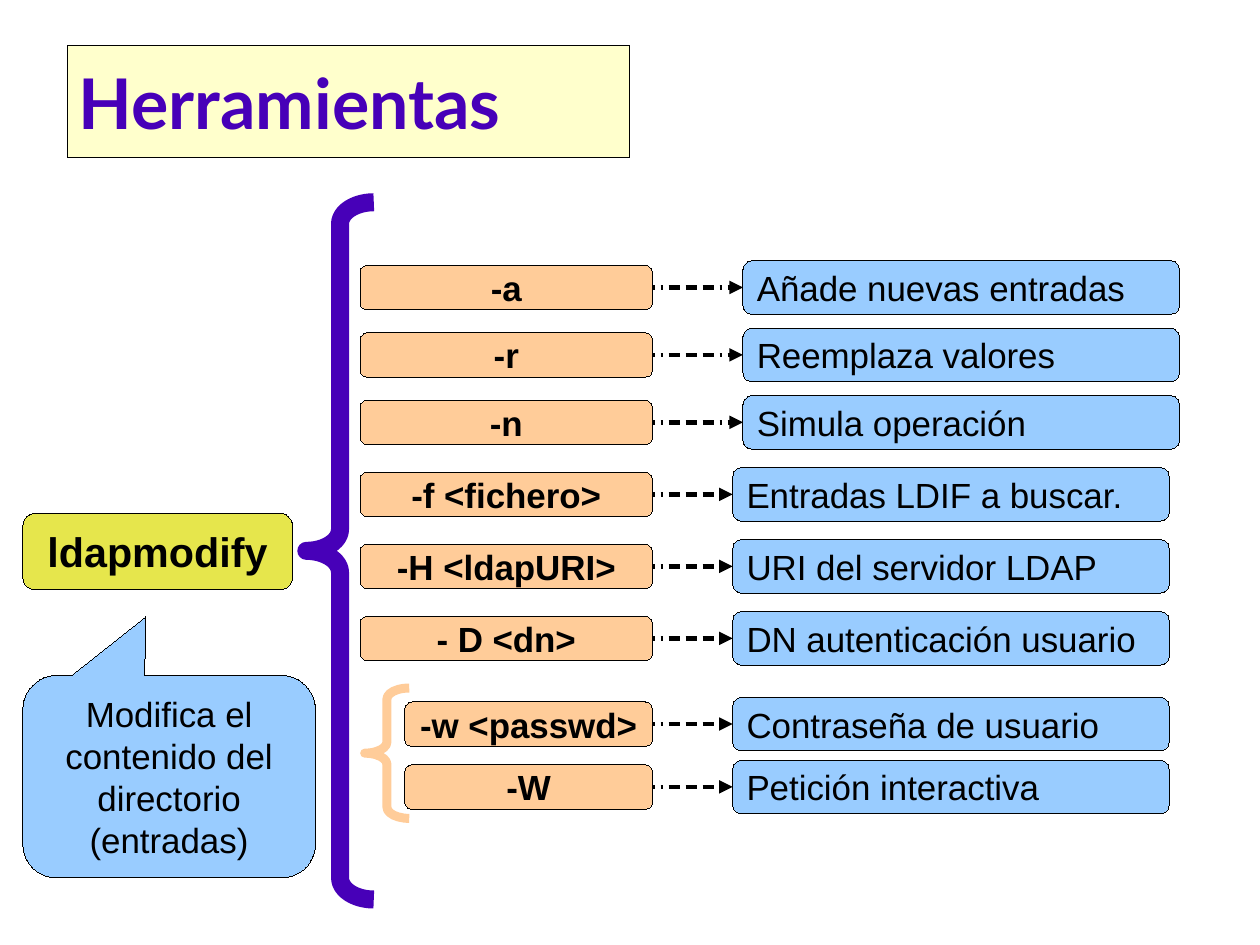
from dataclasses import dataclass

from lxml.etree import SubElement
from pptx import Presentation
from pptx.dml.color import RGBColor
from pptx.enum.shapes import MSO_CONNECTOR, MSO_SHAPE
from pptx.enum.text import MSO_ANCHOR, PP_ALIGN
from pptx.oxml.ns import qn
from pptx.shapes.autoshape import Shape
from pptx.slide import Slide
from pptx.util import Inches, Pt


@dataclass(frozen=True)
class Theme:
    ink: str = "000000"
    purple: str = "4700B8"
    cream: str = "FFFFCC"
    yellow: str = "E6E64C"
    orange: str = "FFCC99"
    blue: str = "99CCFF"
    title_font: str = "Lato"
    body_font: str = "Arial"
    title_size: float = 44
    command_size: float = 26
    body_size: float = 22
    arrow_width: float = 2.83


@dataclass(frozen=True)
class Box:
    left: float
    top: float
    width: float
    height: float


@dataclass(frozen=True)
class Brace:
    box: Box
    color: str
    width: float
    curve: float


@dataclass(frozen=True)
class OptionGroup:
    top: float
    pitch: float
    option_left: float
    meaning_left: float
    entries: tuple[tuple[str, str], ...]


THEME = Theme()
CM_PER_INCH = 2.54
SLIDE_WIDTH, SLIDE_HEIGHT = 28 / CM_PER_INCH, 21 / CM_PER_INCH
OPTION_RIGHT, OPTION_HEIGHT = 5.71, 0.39
MEANING_WIDTH, MEANING_HEIGHT = 3.82, 0.47
DASH_PATTERN = ((50000, 128000),) * 2 + ((250000, 128000),) * 3

BRACES = (
    Brace(Box(2.68, 1.77, 0.59, 6.1), THEME.purple, 11.34, 0.32),
    Brace(Box(3.19, 6.02, 0.39, 1.14), THEME.orange, 5.67, 0.25),
)

GROUPS = (
    OptionGroup(2.32, 0.59, 3.15, 6.5, (
        ("-a", "Añade nuevas entradas"),
        ("-r", "Reemplaza valores"),
        ("-n", "Simula operación"),
    )),
    OptionGroup(4.13, 0.63, 3.15, 6.41, (
        ("-f <fichero>", "Entradas LDIF a buscar."),
        ("-H <ldapURI>", "URI del servidor LDAP"),
        ("- D <dn>", "DN autenticación usuario"),
    )),
    OptionGroup(6.14, 0.55, 3.54, 6.41, (
        ("-w <passwd>", "Contraseña de usuario"),
        ("-W", "Petición interactiva"),
    )),
)


def add_preset(slide: Slide, preset: MSO_SHAPE, box: Box) -> Shape:
    shape = slide.shapes.add_shape(preset, Inches(box.left), Inches(box.top),
                                   Inches(box.width), Inches(box.height))
    shape.shadow.inherit = False
    return shape


def write_text(shape: Shape, text: str, *, size: float = THEME.body_size,
               font: str = THEME.body_font, color: str = THEME.ink,
               bold: bool = False, align: PP_ALIGN = PP_ALIGN.LEFT) -> None:
    frame = shape.text_frame
    frame.word_wrap = True
    frame.vertical_anchor = MSO_ANCHOR.MIDDLE
    paragraph = frame.paragraphs[0]
    paragraph.alignment = align
    run = paragraph.add_run()
    run.text = text
    run.font.name = font
    run.font.size = Pt(size)
    run.font.bold = bold
    run.font.color.rgb = RGBColor.from_string(color)


def add_label(slide: Slide, box: Box, text: str, fill: str,
              preset: MSO_SHAPE = MSO_SHAPE.ROUNDED_RECTANGLE, **text_format) -> Shape:
    label = add_preset(slide, preset, box)
    label.fill.solid()
    label.fill.fore_color.rgb = RGBColor.from_string(fill)
    label.line.color.rgb = RGBColor.from_string(THEME.ink)
    label.line._get_or_add_ln().set("w", "0")
    write_text(label, text, **text_format)
    return label


def add_brace(slide: Slide, brace: Brace) -> None:
    outline = add_preset(slide, MSO_SHAPE.LEFT_BRACE, brace.box)
    outline.adjustments[0] = brace.curve
    outline.fill.background()
    outline.line.color.rgb = RGBColor.from_string(brace.color)
    outline.line.width = Pt(brace.width)
    SubElement(outline.line._get_or_add_ln(), qn("a:round"))


def add_arrow(slide: Slide, option: Shape, meaning: Shape) -> None:
    arrow = slide.shapes.add_connector(MSO_CONNECTOR.STRAIGHT, 0, 0, 0, 0)
    arrow.begin_connect(option, 3)
    arrow.end_connect(meaning, 1)
    arrow.line.color.rgb = RGBColor.from_string(THEME.ink)
    arrow.line.width = Pt(THEME.arrow_width)
    stroke = arrow.line._get_or_add_ln()
    pattern = SubElement(stroke, qn("a:custDash"))
    for dash, gap in DASH_PATTERN:
        SubElement(pattern, qn("a:ds"), d=str(dash), sp=str(gap))
    SubElement(stroke, qn("a:tailEnd"), type="triangle")
    SubElement(arrow._element.spPr, qn("a:effectLst"))


def add_option_group(slide: Slide, group: OptionGroup) -> None:
    for row, (flag, description) in enumerate(group.entries):
        top = group.top + row * group.pitch
        option_box = Box(group.option_left, top, OPTION_RIGHT - group.option_left, OPTION_HEIGHT)
        meaning_top = top - (MEANING_HEIGHT - OPTION_HEIGHT) / 2
        meaning_box = Box(group.meaning_left, meaning_top, MEANING_WIDTH, MEANING_HEIGHT)
        option = add_label(slide, option_box, flag, THEME.orange,
                           bold=True, align=PP_ALIGN.CENTER)
        meaning = add_label(slide, meaning_box, description, THEME.blue)
        add_arrow(slide, option, meaning)


def main() -> None:
    presentation = Presentation()
    presentation.slide_width = Inches(SLIDE_WIDTH)
    presentation.slide_height = Inches(SLIDE_HEIGHT)
    slide = presentation.slides.add_slide(presentation.slide_layouts[6])

    add_label(slide, Box(0.59, 0.4, 4.92, 0.98), "Herramientas", THEME.cream,
              MSO_SHAPE.RECTANGLE, size=THEME.title_size, font=THEME.title_font,
              color=THEME.purple, bold=True)
    add_label(slide, Box(0.2, 4.49, 2.36, 0.67), "ldapmodify", THEME.yellow,
              size=THEME.command_size, bold=True, align=PP_ALIGN.CENTER)
    for brace in BRACES:
        add_brace(slide, brace)
    for group in GROUPS:
        add_option_group(slide, group)
    purpose = add_label(slide, Box(0.2, 5.91, 2.56, 1.77),
                        "Modifica el contenido del directorio (entradas)", THEME.blue,
                        MSO_SHAPE.ROUNDED_RECTANGULAR_CALLOUT, align=PP_ALIGN.CENTER)
    purpose.adjustments[0] = -0.08
    purpose.adjustments[1] = -0.79

    presentation.save("out.pptx")


if __name__ == "__main__":
    main()
